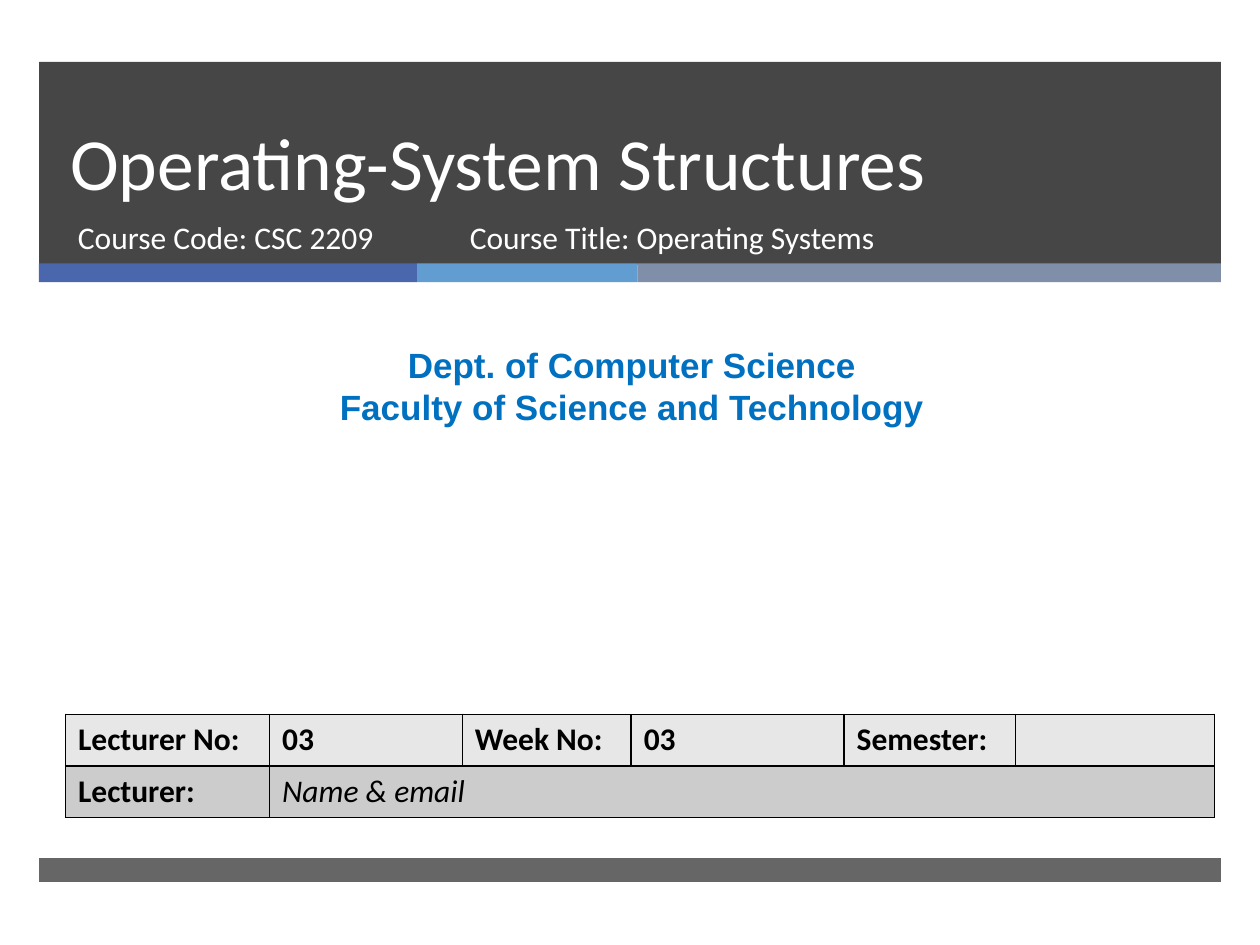
"""Build the title slide of an operating systems lecture."""
from lxml import etree
from pptx import Presentation
from pptx.dml.color import RGBColor
from pptx.enum.shapes import MSO_SHAPE
from pptx.enum.text import MSO_ANCHOR, PP_ALIGN
from pptx.oxml.ns import qn
from pptx.util import Inches, Pt

RECTANGLE = MSO_SHAPE.RECTANGLE
TOP, BOTTOM = MSO_ANCHOR.TOP, MSO_ANCHOR.BOTTOM
LEFT, CENTER = PP_ALIGN.LEFT, PP_ALIGN.CENTER
WHITE = RGBColor(0xFF, 0xFF, 0xFF)
BLACK = RGBColor(0x00, 0x00, 0x00)
CHARCOAL = RGBColor(0x26, 0x26, 0x26)
INDIGO = RGBColor(0x4A, 0x66, 0xAC)
SKY = RGBColor(0x62, 0x9D, 0xD1)
SLATE = RGBColor(0x7F, 0x8F, 0xA9)
DEPARTMENT_BLUE = RGBColor(0x00, 0x70, 0xC0)
ROW_FILLS = [RGBColor(0xE7, 0xE7, 0xE7), RGBColor(0xCC, 0xCC, 0xCC)]

MARGIN = 0.31
BAND_WIDTH = 10 - 2 * MARGIN


def format_runs(paragraph, font_name, size, color, bold=False, italic=False):
    for run in paragraph.runs:
        font = run.font
        font.name, font.size = font_name, Pt(size)
        font.bold, font.italic = bold, italic
        font.color.rgb = color


presentation = Presentation()
presentation.slide_width, presentation.slide_height = Inches(10), Inches(7.5)
slide = presentation.slides.add_slide(presentation.slide_layouts[6])

bands = [
    (MARGIN, 0.49, BAND_WIDTH, 1.61, CHARCOAL, 85),
    (MARGIN, 2.09, 3, 0.15, INDIGO, 100),
    (MARGIN + 3, 2.09, 1.75, 0.15, SKY, 100),
    (MARGIN + 4.75, 2.09, BAND_WIDTH - 4.75, 0.15, SLATE, 100),
    (MARGIN, 6.81, BAND_WIDTH, 0.19, CHARCOAL, 70),
]
for left, top, width, height, color, opacity in bands:
    band = slide.shapes.add_shape(
        RECTANGLE, Inches(left), Inches(top), Inches(width), Inches(height))
    band.shadow.inherit = False
    band.fill.solid()
    band.fill.fore_color.rgb = color
    band.line.fill.background()
    if opacity < 100:
        fill_color = band.fill._xPr.find(qn("a:solidFill"))[0]
        etree.SubElement(fill_color, qn("a:alpha"), val=str(opacity * 1000))

texts = [
    ((0.46, 0.49, 8.54, 1.19), "Operating-System Structures",
     "Calibri", 42, WHITE, False, LEFT, BOTTOM, Pt(46)),
    ((0.52, 1.68, 3.05, 0.53), "Course Code: CSC 2209",
     "Calibri", 18, WHITE, False, LEFT, TOP, None),
    ((0.08, 2.68, 9.87, 0.77),
     "Dept. of Computer Science\nFaculty of Science and Technology",
     "Arial", 20, DEPARTMENT_BLUE, True, CENTER, TOP, None),
    ((3.63, 1.68, 4.55, 0.53), "Course Title: Operating Systems",
     "Calibri", 18, WHITE, False, LEFT, TOP, None),
]
for box, text, font_name, size, color, bold, alignment, anchor, spacing in texts:
    text_frame = slide.shapes.add_textbox(*map(Inches, box)).text_frame
    text_frame.word_wrap = True
    text_frame.vertical_anchor = anchor
    text_frame.text = text
    for paragraph in text_frame.paragraphs:
        paragraph.alignment = alignment
        paragraph.line_spacing = spacing
        format_runs(paragraph, font_name, size, color, bold)

column_widths = [1.62, 1.53, 1.34, 1.69, 1.36, 1.58]
row_height = 0.41
rows = [
    ["Lecturer No:", "03", "Week No:", "03", "Semester:", ""],
    ["Lecturer:", "Name & email", "", "", "", ""],
]
table = slide.shapes.add_table(
    len(rows), len(column_widths), Inches(0.52), Inches(5.67),
    Inches(sum(column_widths)), Inches(row_height * len(rows))).table
for column, width in zip(table.columns, column_widths):
    column.width = Inches(width)
for row_index, row in enumerate(rows):
    table.rows[row_index].height = Inches(row_height)
    for column_index, text in enumerate(row):
        cell = table.cell(row_index, column_index)
        cell.text = text
        is_contact = text == "Name & email"
        format_runs(cell.text_frame.paragraphs[0], "Calibri", 18, BLACK,
                    bold=not is_contact, italic=is_contact)
        properties = cell._tc.get_or_add_tcPr()
        for side in ("lnL", "lnR", "lnT", "lnB"):
            border = etree.SubElement(properties, qn(f"a:{side}"), w=str(Pt(1)))
            border_fill = etree.SubElement(border, qn("a:solidFill"))
            etree.SubElement(border_fill, qn("a:srgbClr"), val=str(BLACK))
        cell.fill.solid()
        cell.fill.fore_color.rgb = ROW_FILLS[row_index]
table.cell(1, 1).merge(table.cell(1, 5))

presentation.save("out.pptx")
